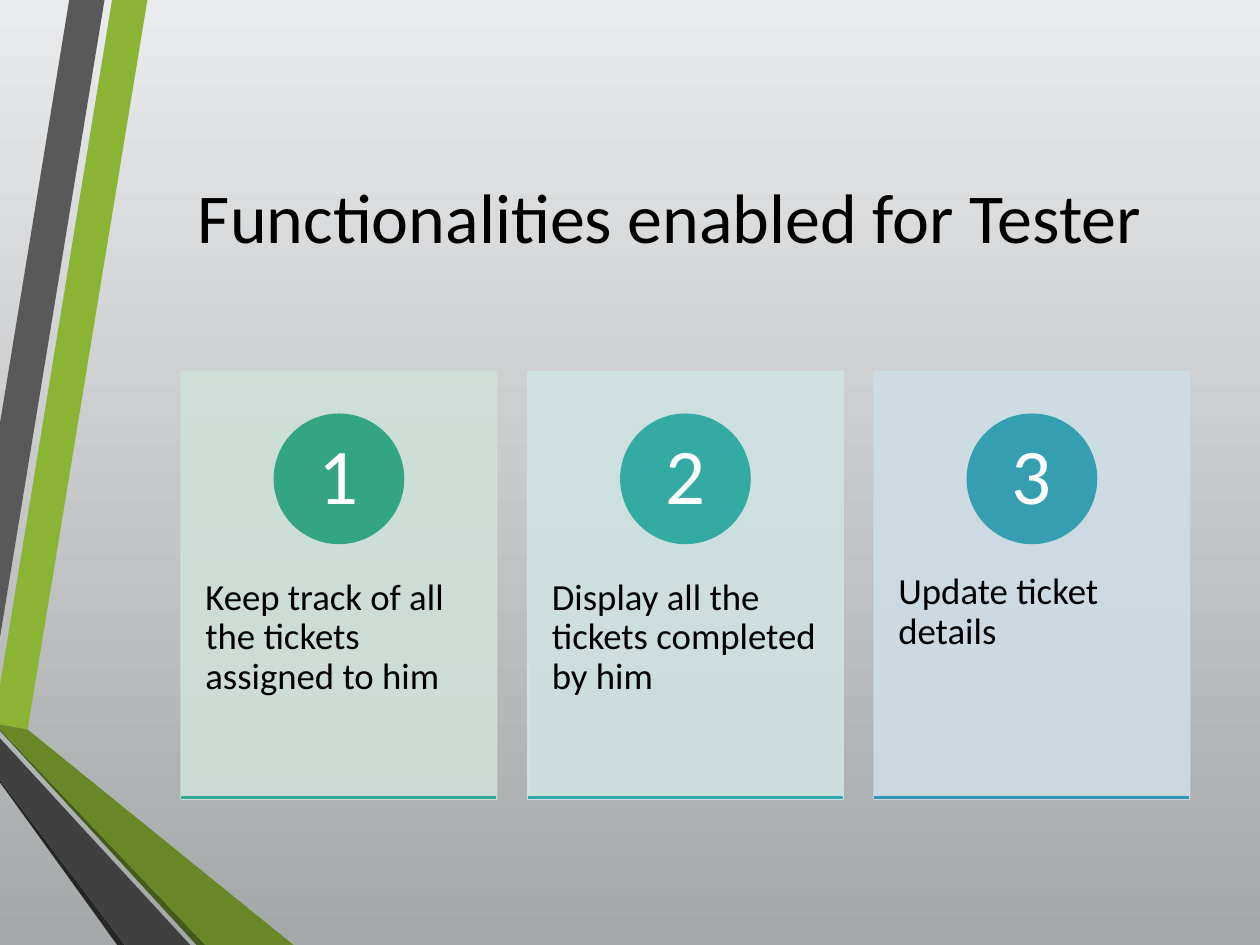
import pptx
import pptx.dml.color
import pptx.enum.shapes
import pptx.enum.text
import pptx.util
from lxml import etree

Inches = pptx.util.Inches
Anchor = pptx.enum.text.MSO_ANCHOR
Align = pptx.enum.text.PP_ALIGN
Kind = pptx.enum.shapes.MSO_SHAPE

WIDTH, HEIGHT = 10, 7.5
FONT = "Calibri"
COLORS = {
    "sky": "E9EAEB", "ground": "A5A8A9", "text": "000000", "number": "FFFFFF",
    "lime": "8BB434", "grey": "595959", "black": "262626",
    "moss": "465A1A", "olive": "688727", "charcoal": "404040",
}
TITLE = "Functionalities enabled for Tester"
# text, card colour, circle colour, base line colour
CARDS = [
    ("Keep track of all the tickets assigned to him", "CEE1D9", "33A583", "33A892"),
    ("Display all the tickets completed by him", "CEE3E2", "34ABA2", "34AAAE"),
    ("Update ticket details", "CEDDE5", "359FB1", "3594B4"),
]
# corner points in inches, back to front
RIBBONS = [
    ("lime", [(0, 5.44), (0, 5.75), (0.22, 5.79), (1.17, 0), (0.89, 0)]),
    ("grey", [(0.83, 0), (0.55, 0), (0, 3.36), (0, 5.06)]),
    ("black", [(0, 6.19), (0, 6.21), (0.93, HEIGHT), (0.99, HEIGHT)]),
    ("moss", [(0, 5.79), (0, 5.8), (1.56, HEIGHT), (1.63, HEIGHT)]),
    ("olive", [(0, 5.79), (1.63, HEIGHT), (2.33, HEIGHT), (0.22, 5.79), (0, 5.75)]),
    ("charcoal", [(0, 6.19), (0.99, HEIGHT), (1.51, HEIGHT), (0, 5.86)]),
]

LEFT, CARD_TOP, CARD_WIDTH, CARD_HEIGHT = 1.44, 2.95, 2.5, 3.39
COLUMN_STEP = 2.75
CIRCLE, CIRCLE_DROP, NUMBER = 1.02, 0.34, 0.72
LABEL_DROP, LABEL_HEIGHT = 1.28, 2.03
LINE_WIDTH = 1.25


def rgb(value):
    return pptx.dml.color.RGBColor.from_string(value)


def set_alpha(fill, percent):
    """Make a solid fill partly transparent."""
    color = fill._xPr.find(".//" + pptx.oxml.ns.qn("a:srgbClr"))
    etree.SubElement(color, pptx.oxml.ns.qn("a:alpha"), val=str(percent * 1000))


def paint(shape, color, outlined=True, alpha=None):
    shape.shadow.inherit = False
    shape.fill.solid()
    shape.fill.fore_color.rgb = rgb(color)
    if not outlined:
        shape.line.fill.background()
        return
    shape.line.color.rgb = rgb(color)
    shape.line.width = pptx.util.Pt(LINE_WIDTH)
    if alpha:
        set_alpha(shape.fill, alpha)
        set_alpha(shape.line.fill, alpha)


def add_text(page, text, place, *, size, color="text", align=Align.LEFT,
             anchor=Anchor.TOP, insets=(0.1, 0.05, 0.1, 0.05), spacing=1.0):
    box = page.shapes.add_textbox(*map(Inches, place))
    frame = box.text_frame
    frame.word_wrap = True
    frame.vertical_anchor = anchor
    (frame.margin_left, frame.margin_top,
     frame.margin_right, frame.margin_bottom) = map(Inches, insets)
    para = frame.paragraphs[0]
    para.alignment = align
    para.line_spacing = spacing
    span = para.add_run()
    span.text = text
    span.font.name = FONT
    span.font.size = pptx.util.Pt(size)
    span.font.color.rgb = rgb(COLORS[color])


def add_ribbon(page, color, points):
    corners = [(round(x * 100), round(y * 100)) for x, y in points]
    builder = page.shapes.build_freeform(*corners[0], scale=Inches(0.01))
    builder.add_line_segments(corners[1:], close=True)
    paint(builder.convert_to_shape(), COLORS[color], outlined=False)


def add_rule(page, left, top, width, color):
    rule = page.shapes.add_connector(
        pptx.enum.shapes.MSO_CONNECTOR.STRAIGHT,
        *map(Inches, (left, top, left + width, top)))
    rule.line.color.rgb = rgb(color)
    rule.line.width = pptx.util.Pt(LINE_WIDTH)
    etree.SubElement(rule._element.spPr, pptx.oxml.ns.qn("a:effectLst"))


def add_card(page, index, text, card_color, circle_color, rule_color):
    left = LEFT + index * COLUMN_STEP
    card = page.shapes.add_shape(
        Kind.RECTANGLE, *map(Inches, (left, CARD_TOP, CARD_WIDTH, CARD_HEIGHT)))
    paint(card, card_color, alpha=90)
    add_text(page, text, (left, CARD_TOP + LABEL_DROP, CARD_WIDTH, LABEL_HEIGHT),
             size=21, insets=(0.19, 0.36, 0.19, 0.36), spacing=0.9)

    circle_left = left + (CARD_WIDTH - CIRCLE) / 2
    circle_top = CARD_TOP + CIRCLE_DROP
    circle = page.shapes.add_shape(
        Kind.OVAL, *map(Inches, (circle_left, circle_top, CIRCLE, CIRCLE)))
    paint(circle, circle_color)
    margin = (CIRCLE - NUMBER) / 2
    add_text(page, str(index + 1),
             (circle_left + margin, circle_top + margin, NUMBER, NUMBER),
             size=45, color="number", align=Align.CENTER, anchor=Anchor.MIDDLE,
             insets=(0.08, 0.01, 0.08, 0.01), spacing=0.9)
    add_rule(page, left, CARD_TOP + CARD_HEIGHT - 0.01, CARD_WIDTH, rule_color)


def main():
    deck = pptx.Presentation()
    deck.slide_width, deck.slide_height = Inches(WIDTH), Inches(HEIGHT)
    page = deck.slides.add_slide(deck.slide_layouts[6])

    backdrop = page.background.fill
    backdrop.gradient()
    backdrop.gradient_angle = 270
    for stop, name in zip(backdrop.gradient_stops, ("sky", "ground")):
        stop.color.rgb = rgb(COLORS[name])

    for color, points in RIBBONS:
        add_ribbon(page, color, points)
    add_text(page, TITLE, (LEFT, 0.75, 7.99, 1.92), size=40, align=Align.CENTER,
             anchor=Anchor.MIDDLE, insets=(0.1, 0.05, 0.34, 0.05))
    for index, card in enumerate(CARDS):
        add_card(page, index, *card)
    deck.save("out.pptx")


if __name__ == "__main__":
    main()
